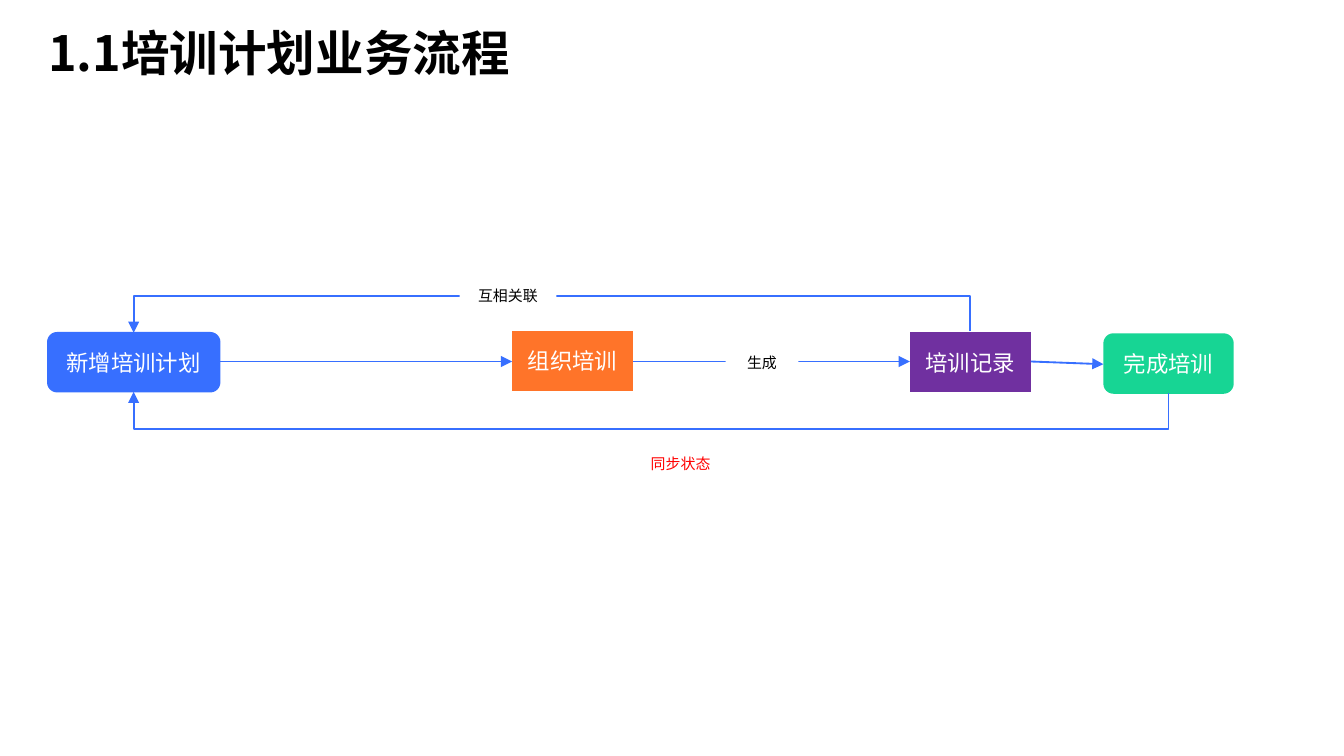
import pptx
import pptx.util
import pptx.dml.color
import pptx.enum.shapes
import pptx.enum.text
import pptx.oxml
import pptx.oxml.ns

Inches = pptx.util.Inches
RGBColor = pptx.dml.color.RGBColor
MSO_SHAPE = pptx.enum.shapes.MSO_SHAPE
MSO_CONNECTOR = pptx.enum.shapes.MSO_CONNECTOR
MSO_ANCHOR = pptx.enum.text.MSO_ANCHOR
PP_ALIGN = pptx.enum.text.PP_ALIGN
qn = pptx.oxml.ns.qn

BLUE = RGBColor(0x37, 0x6F, 0xFF)
ORANGE = RGBColor(0xFF, 0x74, 0x29)
PURPLE = RGBColor(0x70, 0x30, 0xA0)
GREEN = RGBColor(0x17, 0xD5, 0x94)
RED = RGBColor(0xFF, 0x00, 0x00)
WHITE = RGBColor(0xFF, 0xFF, 0xFF)
BLACK = RGBColor(0x00, 0x00, 0x00)

CJK = "Noto Sans CJK SC"
LATIN = "Calibri"
ROUNDED = MSO_SHAPE.FLOWCHART_ALTERNATE_PROCESS
SQUARE = MSO_SHAPE.FLOWCHART_PROCESS


def add_run(p, text, size, color, font=CJK, bold=False):
    r = p.add_run()
    r.text = text
    r.font.size = pptx.util.Pt(size)
    r.font.bold = bold
    r.font.color.rgb = color
    r.font.name = font
    ea = pptx.oxml.parse_xml(
        f'<a:ea {pptx.oxml.ns.nsdecls("a")} typeface="{CJK}"/>')
    r.font._element.find(qn("a:latin")).addnext(ea)


def add_box(s, kind, box, fill, text, size, color, font=CJK,
            anchor=MSO_ANCHOR.MIDDLE):
    sp = s.shapes.add_shape(kind, *map(Inches, box))
    sp.shadow.inherit = False
    sp.fill.solid()
    sp.fill.fore_color.rgb = fill
    sp.line.fill.background()
    tf = sp.text_frame
    tf.word_wrap = True
    tf.margin_left = tf.margin_right = 0
    tf.vertical_anchor = anchor
    p = tf.paragraphs[0]
    p.alignment = PP_ALIGN.CENTER
    add_run(p, text, size, color, font)


def add_arrow(s, kind, x1, y1, x2, y2):
    c = s.shapes.add_connector(kind, *map(Inches, (x1, y1, x2, y2)))
    c.line.color.rgb = BLUE
    c.line.width = pptx.util.Pt(1)
    c.line._get_or_add_ln().append(pptx.oxml.parse_xml(
        f'<a:tailEnd {pptx.oxml.ns.nsdecls("a")} type="triangle"/>'))
    c._element.spPr.append(pptx.oxml.parse_xml(
        f'<a:effectLst {pptx.oxml.ns.nsdecls("a")}/>'))
    return c


def add_return_arrow(s, x1, x2, y, reach, above):
    """Arrow from x1 back to x2, bending away from y by reach."""
    depth = 0.01
    span = x1 - x2
    left, top = (x1 + x2 - depth) / 2, y - span / 2
    c = add_arrow(s, MSO_CONNECTOR.ELBOW, left, top, left + depth, top + span)
    # Turn the elbow on its side and push its middle leg outside the box
    xfrm = c._element.spPr.find(qn("a:xfrm"))
    xfrm.set("rot", str((270 if above else 90) * 60000))
    xfrm.set("flipH", "1")
    if above:
        xfrm.set("flipV", "1")
    guides = c._element.spPr.find(qn("a:prstGeom")).get_or_add_avLst()
    guides.append(pptx.oxml.parse_xml(
        f'<a:gd {pptx.oxml.ns.nsdecls("a")} name="adj1" '
        f'fmla="val {round(-reach / depth * 100000)}"/>'))


def add_title(s, x, y, w, h):
    tf = s.shapes.add_textbox(*map(Inches, (x, y, w, h))).text_frame
    tf.word_wrap = True
    add_run(tf.paragraphs[0], "1.1培训计划业务流程", 26, BLACK, bold=True)


def add_flow(s, x, y):
    """Training flow; x, y is the top left corner of its first step."""
    h, mid, reach = 0.45, y + 0.22, 0.27
    steps = [  # shape, offset x, offset y, width, fill, text, font
        (ROUNDED, 0, 0, 1.29, BLUE, "新增培训计划", CJK),
        (SQUARE, 3.46, -0.01, 0.9, ORANGE, "组织培训", LATIN),
        (SQUARE, 6.42, 0, 0.9, PURPLE, "培训记录", LATIN),
        (ROUNDED, 7.86, 0.01, 0.97, GREEN, "完成培训", CJK),
    ]
    for kind, dx, dy, w, fill, text, font in steps:
        add_box(s, kind, (x + dx, y + dy, w, h), fill, text, 12, WHITE, font)

    # Forward arrows from step to step
    kinds = [MSO_CONNECTOR.ELBOW, MSO_CONNECTOR.STRAIGHT, MSO_CONNECTOR.STRAIGHT]
    ends = [mid, mid, mid + 0.02]
    for kind, a, b, end_y in zip(kinds, steps, steps[1:], ends):
        add_arrow(s, kind, x + a[1] + a[3], mid, x + b[1], end_y)

    # Return arrows to the first step
    first, _, record, done = [x + st[1] + st[3] / 2 for st in steps]
    add_return_arrow(s, record, first, y, reach, above=True)
    add_return_arrow(s, done, first, y + h, reach, above=False)

    # Labels on the arrows
    for dx, dy, w, text, color in [
        (3.07, -0.39, 0.72, "互相关联", BLACK),
        (4.37, 0.86, 0.69, "同步状态", RED),
        (5.05, 0.11, 0.54, "生成", BLACK),
    ]:
        add_box(s, MSO_SHAPE.RECTANGLE, (x + dx, y + dy, w, 0.24), WHITE,
                text, 8, color, anchor=MSO_ANCHOR.TOP)


def main():
    prs = pptx.Presentation()
    prs.slide_width = Inches(10)
    prs.slide_height = prs.slide_width * 9 // 16
    s = prs.slides.add_slide(prs.slide_layouts[6])
    add_title(s, 0.26, 0.12, 3.64, 0.54)
    add_flow(s, 0.35, 2.47)
    prs.save("out.pptx")


if __name__ == "__main__":
    main()
